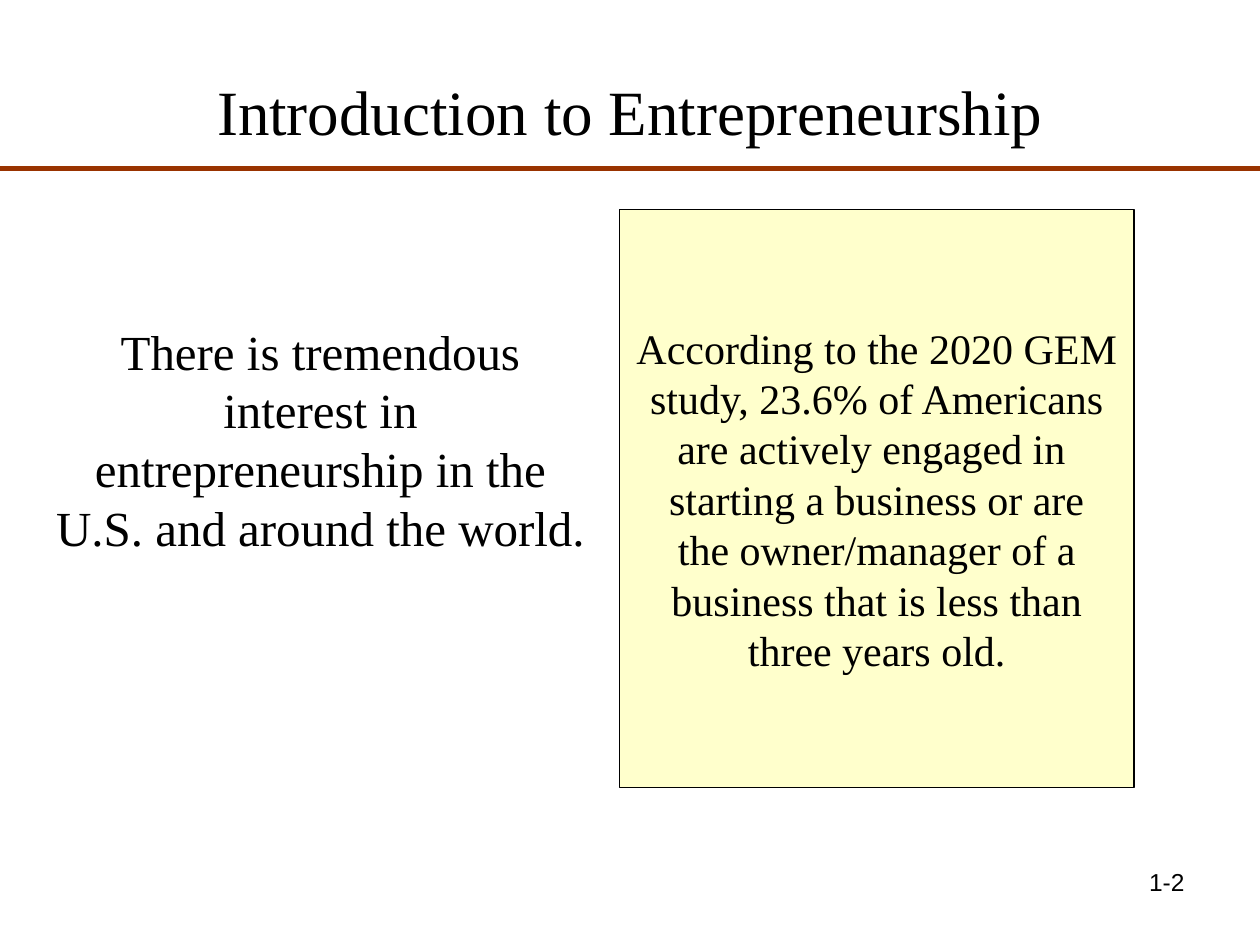
from pptx import Presentation
from pptx.dml.color import RGBColor
from pptx.enum.shapes import MSO_CONNECTOR, MSO_SHAPE
from pptx.enum.text import MSO_ANCHOR, PP_ALIGN
from pptx.oxml.ns import qn
from pptx.util import Cm, Pt

LINE = MSO_CONNECTOR.STRAIGHT
RECT = MSO_SHAPE.RECTANGLE
TOP, MIDDLE = MSO_ANCHOR.TOP, MSO_ANCHOR.MIDDLE
CENTER, RIGHT = PP_ALIGN.CENTER, PP_ALIGN.RIGHT

BLACK = RGBColor(0x00, 0x00, 0x00)
RUST = RGBColor(0x99, 0x33, 0x00)
CREAM = RGBColor(0xFF, 0xFF, 0xCC)
SERIF, SANS = "Times New Roman", "Arial"

STUDY = [
    "According to the 2020 GEM",
    "study, 23.6% of Americans",
    "are actively engaged in ",
    "starting a business or are",
    "the owner/manager of a",
    "business that is less than",
    "three years old.",
]


def write(shape, lines, size, face=SERIF, align=CENTER, anchor=TOP, wrap=True):
    """Fill a shape with one paragraph per line, all in one style."""
    frame = shape.text_frame
    frame.text = "\n".join(lines)
    frame.word_wrap = wrap
    frame.vertical_anchor = anchor
    for para in frame.paragraphs:
        para.alignment = align
        para.font.size = Pt(size)
        para.font.name = face
        para.font.color.rgb = BLACK


def add_title(slide, text):
    title = slide.shapes.title
    title.left, title.top = Cm(1.27), Cm(0.64)
    title.width, title.height = Cm(22.86), Cm(3.18)
    write(title, [text], 36, anchor=MIDDLE)


def add_rule(slide, y, width):
    rule = slide.shapes.add_connector(LINE, 0, y, width, y)
    rule.line.color.rgb = RUST
    rule.line.width = Pt(3)
    props = rule._element.spPr
    props.append(props.makeelement(qn("a:effectLst"), {}))


def add_text(slide, box, text, size, **style):
    write(slide.shapes.add_textbox(*box), [text], size, **style)


def add_panel(slide, box, lines):
    panel = slide.shapes.add_shape(RECT, *box)
    panel.shadow.inherit = False
    panel.fill.solid()
    panel.fill.fore_color.rgb = CREAM
    panel.line.color.rgb = BLACK
    panel.line.width = Pt(0.75)
    write(panel, lines, 24, anchor=MIDDLE, wrap=False)


def main():
    deck = Presentation()
    deck.slide_width, deck.slide_height = Cm(25.4), Cm(19.05)
    slide = deck.slides.add_slide(deck.slide_layouts[5])

    add_title(slide, "Introduction to Entrepreneurship")
    add_rule(slide, Cm(3.39), deck.slide_width)
    add_text(
        slide,
        (Cm(0.85), Cm(6.35), Cm(11.22), Cm(5)),
        "There is tremendous interest in entrepreneurship in the "
        "U.S. and around the world.",
        28,
    )
    add_panel(slide, (Cm(12.49), Cm(4.23), Cm(10.37), Cm(11.64)), STUDY)
    add_text(
        slide,
        (Cm(18.2), Cm(17.36), Cm(5.93), Cm(1.32)),
        "1-2",
        14,
        face=SANS,
        align=RIGHT,
    )
    deck.save("out.pptx")


if __name__ == "__main__":
    main()
